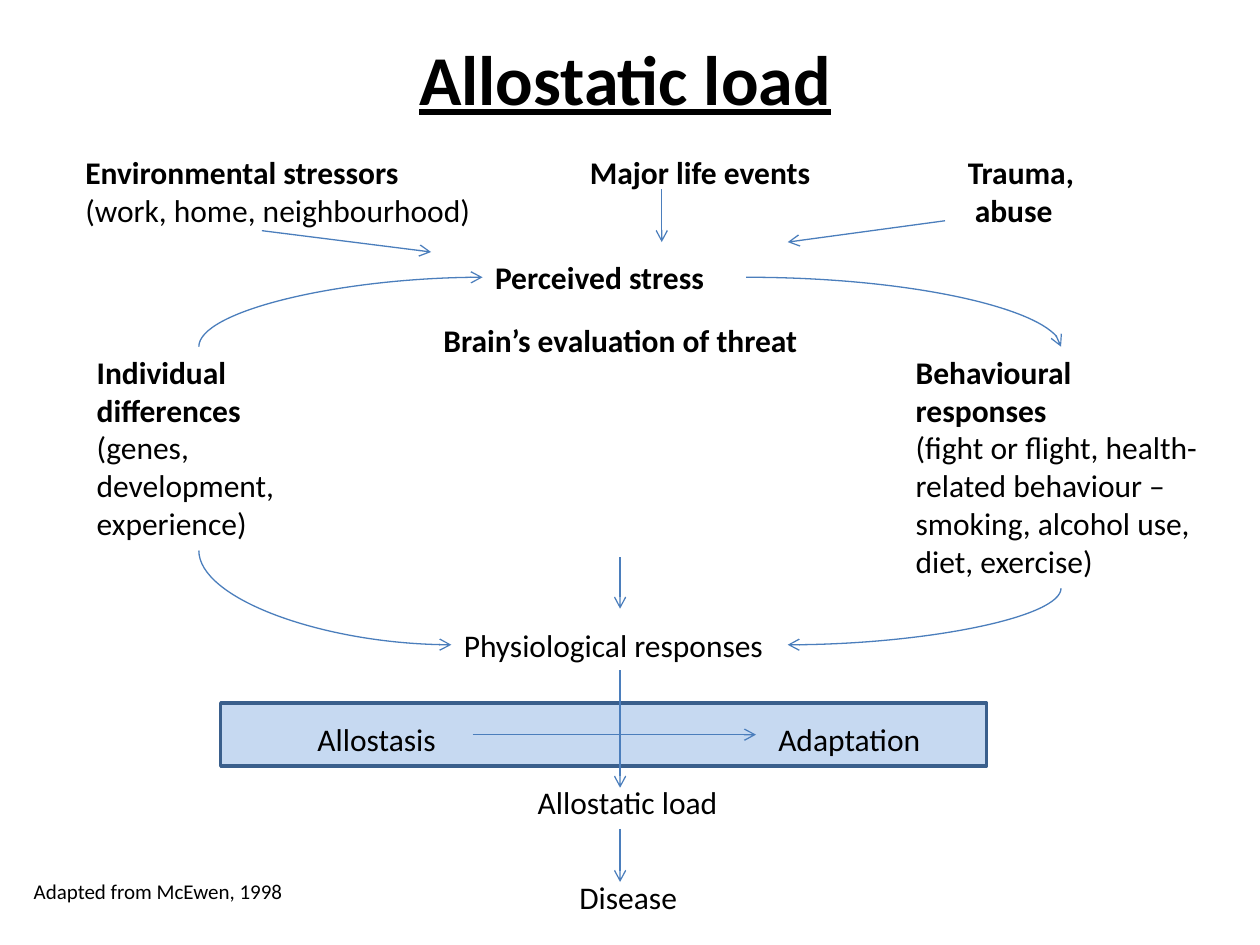
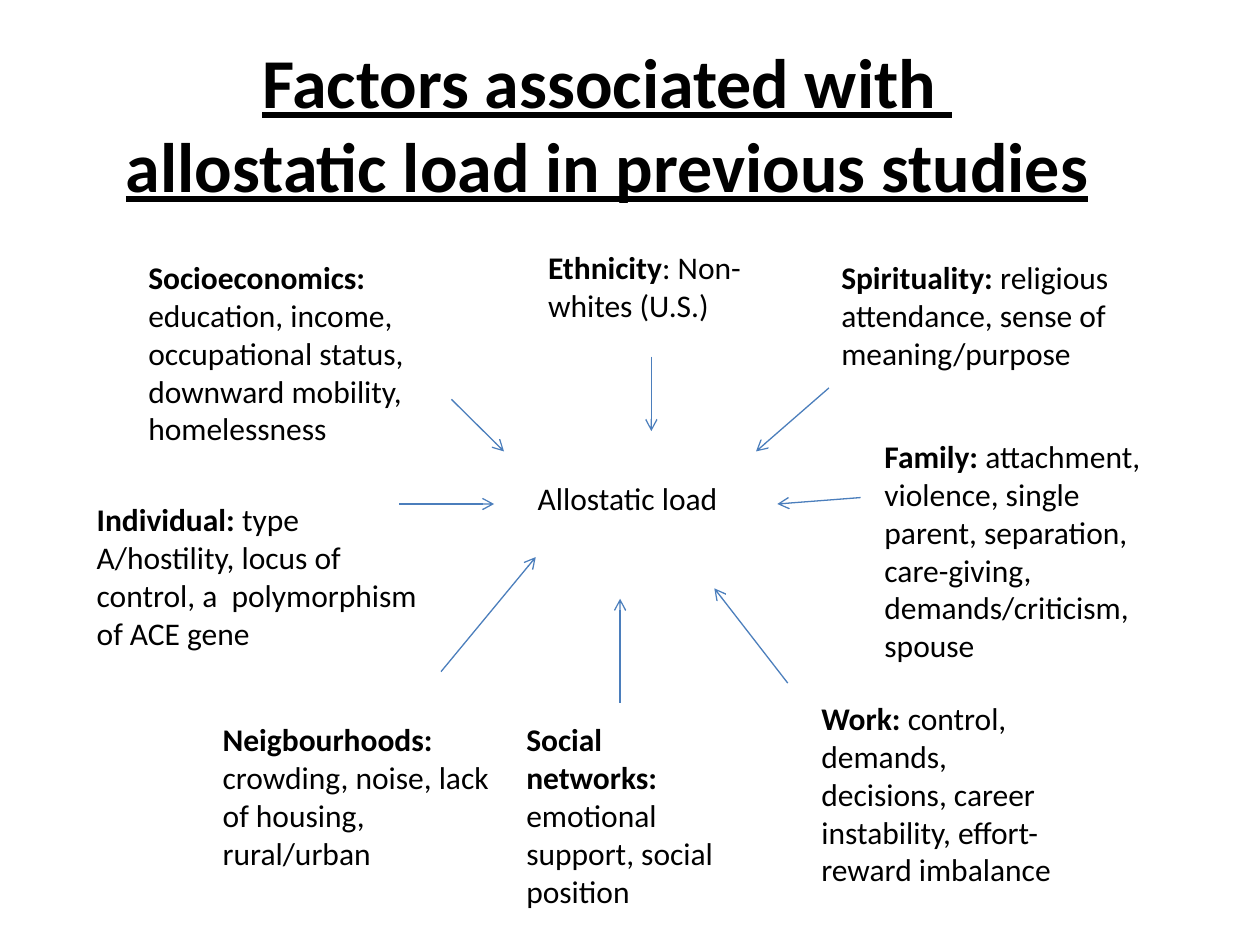
from dataclasses import dataclass

from lxml.etree import SubElement
from pptx import Presentation
from pptx.dml.color import RGBColor
from pptx.enum.shapes import MSO_CONNECTOR as Link, MSO_SHAPE as Shape
from pptx.enum.text import MSO_ANCHOR as Anchor, MSO_AUTO_SIZE as AutoSize, PP_ALIGN as Align
from pptx.oxml.ns import qn
from pptx.util import Cm, Pt


@dataclass(frozen=True)
class Theme:
    font: str = "Calibri"
    title_size: int = 40
    body_size: int = 18
    source_size: int = 12
    ink: str = "000000"
    arrow: str = "4B7EBC"
    band_fill: str = "C6D9F1"
    band_line: str = "3A5F8C"
    arrow_width: float = 0.75
    band_width: float = 2


THEME = Theme()
TITLE_WIDTH = 23.62
AXIS = 12.5  # horizontal centre of the vertical arrows

# Each title: lines, then left, top, height in cm.
LOAD_TITLE = (["Allostatic load"], 0.79, 0.58, 1.96)
FACTORS_TITLE = (["Factors associated with ", "allostatic load in previous studies"],
                 0.43, 0.64, 3.68)

# Each label: left, top, width, height in cm, then paragraphs of (bold part, plain part).
LOAD_LABELS = [
    (1.47, 2.97, 9.5, 1.8, [("Environmental stressors", ""),
                            ("", "(work, home, neighbourhood)")]),
    (11.64, 2.97, 6, 1.02, [("Major life events", "")]),
    (19.26, 2.97, 3.6, 1.8, [("Trauma,", ""), (" abuse", "")]),
    (9.73, 5.08, 5.28, 1.02, [("Perceived stress", "")]),
    (18.21, 6.99, 6.35, 4.88, [
        ("Behavioural responses", ""),
        ("", "(fight or flight, health-related behaviour – smoking, alcohol use, diet, exercise)")]),
    (1.7, 6.99, 4.65, 4.11, [("Individual differences", ""),
                             ("", "(genes, development, experience)")]),
    (8.69, 6.35, 9.09, 1.02, [("Brain’s evaluation of threat", "")]),
    (9.1, 12.5, 6.78, 1.02, [("", "Physiological responses")]),
    (10.59, 15.67, 6.35, 1.02, [("", "Allostatic load")]),
    (11.43, 17.58, 6.35, 1.02, [("", "Disease")]),
    (6.15, 14.4, 6.35, 1.02, [("", "Allostasis")]),
    (15.44, 14.4, 4.24, 1.02, [("", "Adaptation")]),
]
SOURCE = (0.43, 17.58, 8.89, 0.76, [("", "Adapted from McEwen, 1998")])
ADAPTATION_BAND = (4.45, 14.17, 15.44, 1.27)

FACTOR_LABELS = [
    (2.74, 5.08, 7.19, 4.11, [("Socioeconomics: ",
        "education, income, occupational status, downward mobility, homelessness")]),
    (17.58, 8.69, 6.15, 4.88, [("Family: ",
        "attachment, violence, single parent, separation, care-giving, demands/criticism, spouse")]),
    (1.7, 9.96, 7.42, 3.33, [("Individual: ",
        "type A/hostility, locus of control, a  polymorphism of ACE gene")]),
    (4.24, 14.4, 5.92, 3.33, [("Neigbourhoods: ",
        "crowding, noise, lack of housing, rural/urban")]),
    (10.59, 9.53, 6.78, 1.02, [("", "Allostatic load")]),
    (10.8, 4.88, 5.08, 1.8, [("Ethnicity", ": Non-whites (U.S.)")]),
    (16.71, 5.08, 5.92, 2.57, [("Spirituality: ",
        "religious attendance, sense of meaning/purpose")]),
    (10.36, 14.4, 4.45, 4.11, [("Social networks: ",
        "emotional support, social position")]),
    (16.31, 13.97, 5.51, 4.11, [("Work:",
        " control, demands, decisions, career instability, effort-reward imbalance")]),
]

# Straight arrows: start x, start y, tip x, tip y in cm.
LOAD_ARROWS = [
    (AXIS, 13.51, AXIS, 15.88),
    (9.53, 14.81, 15.24, 14.81),
    (AXIS, 16.71, AXIS, 17.78),
    (5.28, 4.65, 8.69, 5.08),
    (13.34, 3.81, 13.34, 4.88),
    (19.05, 4.45, 15.88, 4.88),
    (AXIS, 11.23, AXIS, 12.27),
]
FACTOR_ARROWS = [
    (9.1, 8.05, 10.16, 9.1),
    (13.13, 7.19, 13.13, 8.69),
    (16.71, 7.82, 15.24, 9.1),
    (8.05, 10.16, 9.96, 10.16),
    (8.89, 13.54, 10.8, 11.23),
    (AXIS, 14.17, AXIS, 12.07),
    (15.88, 13.77, 14.4, 11.86),
    (17.35, 10.03, 15.67, 10.16),
]
# Quarter curves: level end x, y, upright end x, y in cm, then the end with the tip.
LOAD_CURVES = [
    (9.73, 5.59, 4.01, 6.99, "headEnd"),
    (15.04, 5.59, 21.39, 6.99, "tailEnd"),
    (9.1, 13, 4.01, 11.1, "headEnd"),
    (15.88, 13, 21.39, 11.86, "headEnd"),
]


def colour(code):
    return RGBColor.from_string(code)


def set_font(para, size):
    para.font.name = THEME.font
    para.font.size = Pt(size)
    para.font.color.rgb = colour(THEME.ink)


def add_title(page, title):
    lines, left, top, height = title
    box = page.shapes.title
    box.left, box.top, box.width, box.height = map(Cm, (left, top, TITLE_WIDTH, height))
    frame = box.text_frame
    frame.text = "\n".join(lines)
    frame.word_wrap = True
    frame.auto_size = AutoSize.NONE
    frame.vertical_anchor = Anchor.TOP
    for para in frame.paragraphs:
        para.alignment = Align.CENTER
        set_font(para, THEME.title_size)
        para.font.bold = para.font.underline = True


def add_label(page, label, size=THEME.body_size):
    *place, paragraphs = label
    frame = page.shapes.add_textbox(*map(Cm, place)).text_frame
    frame.word_wrap = True
    for number, parts in enumerate(paragraphs):
        para = frame.add_paragraph() if number else frame.paragraphs[0]
        set_font(para, size)
        for text, bold in zip(parts, (True, False)):
            if text:
                span = para.add_run()
                span.text = text
                span.font.bold = bold


def add_arrow(page, ends, kind=Link.STRAIGHT, tip="tailEnd"):
    arrow = page.shapes.add_connector(kind, *map(Cm, ends))
    arrow.line.color.rgb = colour(THEME.arrow)
    arrow.line.width = Pt(THEME.arrow_width)
    SubElement(arrow.line._get_or_add_ln(), qn(f"a:{tip}"), type="arrow")
    properties = arrow._element.spPr
    SubElement(properties, qn("a:effectLst"))
    if kind == Link.CURVE:
        properties.find(qn("a:prstGeom")).set("prst", "curvedConnector2")


def add_band(page, place):
    band = page.shapes.add_shape(Shape.RECTANGLE, *map(Cm, place))
    band.shadow.inherit = False
    band.fill.solid()
    band.fill.fore_color.rgb = colour(THEME.band_fill)
    band.line.color.rgb = colour(THEME.band_line)
    band.line.width = Pt(THEME.band_width)


def add_diagram(deck, title, labels, arrows, curves=(), band=None):
    page = deck.slides.add_slide(deck.slide_layouts.get_by_name("Title Only"))
    add_title(page, title)
    if band:
        add_band(page, band)
    for label in labels:
        add_label(page, label)
    for ends in arrows:
        add_arrow(page, ends)
    for *ends, tip in curves:
        add_arrow(page, ends, Link.CURVE, tip)
    return page


def main():
    deck = Presentation()
    deck.slide_width, deck.slide_height = Cm(25.4), Cm(19.05)
    load_page = add_diagram(deck, LOAD_TITLE, LOAD_LABELS, LOAD_ARROWS,
                            LOAD_CURVES, ADAPTATION_BAND)
    add_label(load_page, SOURCE, THEME.source_size)
    add_diagram(deck, FACTORS_TITLE, FACTOR_LABELS, FACTOR_ARROWS)
    deck.save("out.pptx")


if __name__ == "__main__":
    main()
